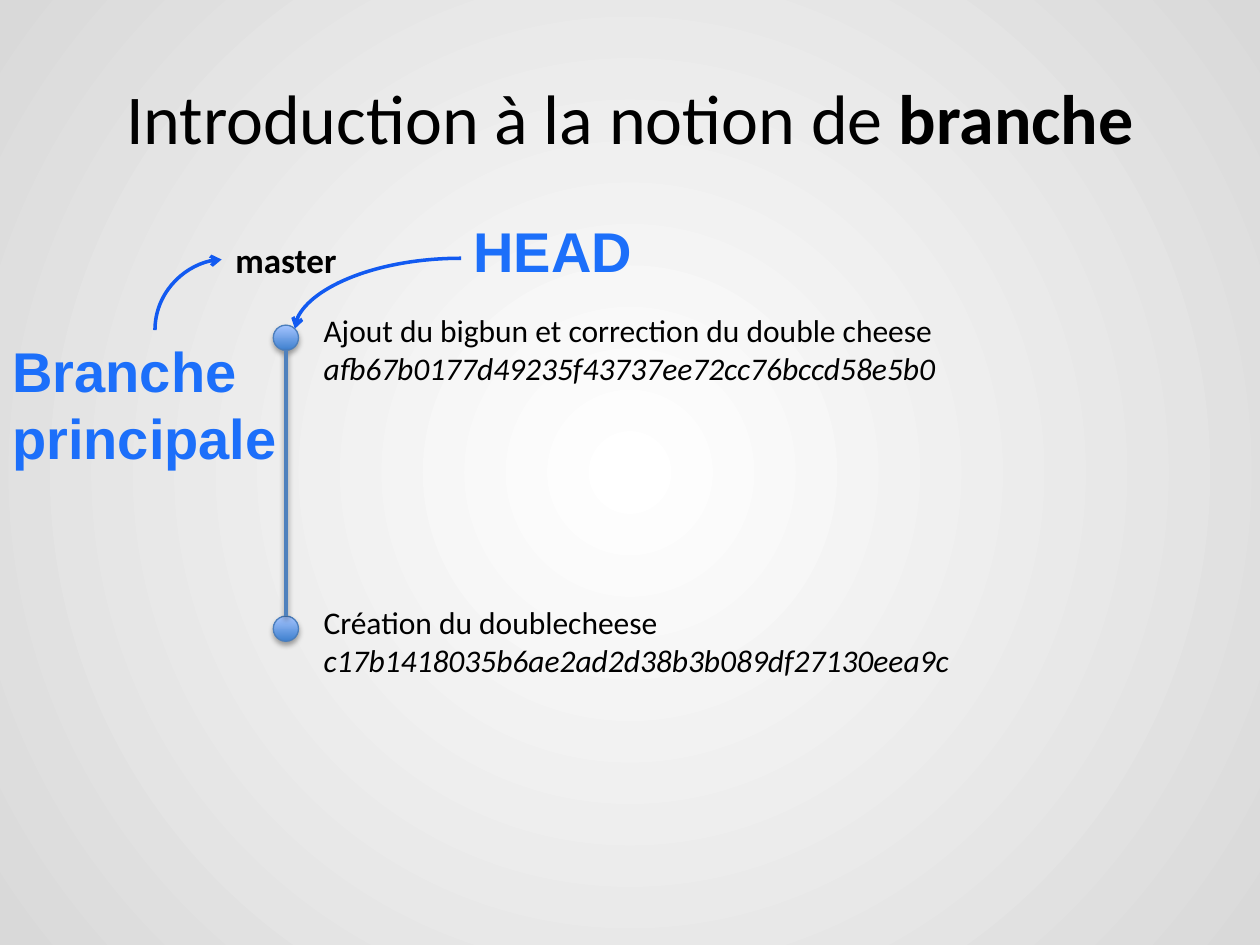
from lxml.etree import SubElement
from pptx import Presentation
from pptx.dml.color import RGBColor
from pptx.enum.shapes import MSO_CONNECTOR, MSO_SHAPE
from pptx.enum.text import MSO_ANCHOR, MSO_AUTO_SIZE, PP_ALIGN
from pptx.oxml.ns import qn
from pptx.util import Pt

BLACK = RGBColor(0x00, 0x00, 0x00)
WHITE = RGBColor(0xFF, 0xFF, 0xFF)
GREY = RGBColor(0xD9, 0xD9, 0xD9)
LABEL_BLUE = RGBColor(0x1C, 0x6F, 0xFA)
ARROW_BLUE = RGBColor(0x12, 0x5A, 0xF1)
BRANCH_BLUE = RGBColor(0x4F, 0x81, 0xBD)
COMMIT_EDGE = RGBColor(0x4B, 0x7E, 0xBC)
COMMIT_DARK = RGBColor(0x3F, 0x80, 0xCE)
COMMIT_LIGHT = RGBColor(0xA4, 0xC4, 0xFF)

prs = Presentation()
prs.slide_width, prs.slide_height = Pt(720), Pt(540)
slide = prs.slides.add_slide(prs.slide_layouts[6])


def add_text(paragraphs, left, top, width, height, size=18, font="Calibri",
             color=BLACK, wrap=False, grow=True, align=PP_ALIGN.LEFT,
             anchor=MSO_ANCHOR.TOP):
    """Each paragraph is a list of (text, style), style being "", "b" or "i"."""
    box = slide.shapes.add_textbox(Pt(left), Pt(top), Pt(width), Pt(height))
    frame = box.text_frame
    frame.word_wrap = wrap
    frame.auto_size = MSO_AUTO_SIZE.SHAPE_TO_FIT_TEXT if grow else MSO_AUTO_SIZE.NONE
    frame.vertical_anchor = anchor
    for i, runs in enumerate(paragraphs):
        paragraph = frame.paragraphs[0] if i == 0 else frame.add_paragraph()
        paragraph.alignment = align
        for text, style in runs:
            run = paragraph.add_run()
            run.text = text
            run.font.name, run.font.size = font, Pt(size)
            run.font.color.rgb = color
            run.font.bold, run.font.italic = style == "b", style == "i"


def add_effects(shape, opacity=None, distance=0):
    """Soft downward shadow, or no shadow when opacity is not given."""
    effects = SubElement(shape._element.spPr, qn("a:effectLst"))
    if opacity:
        shadow = SubElement(effects, qn("a:outerShdw"), blurRad=str(Pt(3.1)),
                            dist=str(Pt(distance)), dir="5400000", rotWithShape="0")
        black = SubElement(shadow, qn("a:srgbClr"), val="000000")
        SubElement(black, qn("a:alpha"), val=str(opacity * 1000))


# Background: white centre fading to grey
backdrop = slide.background.fill
backdrop.gradient()
for stop, color in zip(backdrop.gradient_stops, (WHITE, GREY)):
    stop.color.rgb = color
gradient = slide.element.find(".//" + qn("a:gradFill"))
gradient.remove(gradient.find(qn("a:lin")))
circle = SubElement(gradient, qn("a:path"), {"path": "circle"})
SubElement(circle, qn("a:fillToRect"), l="50000", t="50000", r="50000", b="50000")

# Title
add_text([[("Introduction à la notion de ", ""), ("branche", "b")]],
         36, 21.6, 648, 90, size=40, wrap=True, grow=False,
         align=PP_ALIGN.CENTER, anchor=MSO_ANCHOR.MIDDLE)

# Branch name
add_text([[("master", "b")]], 126.7, 132.5, 73.4, 31.5, size=20,
         align=PP_ALIGN.CENTER)

# Commits: dot, message and hash
DOT = 14.4
DOT_LEFT = 156.2
commits = [
    (185.8, 174.2, 373, "Ajout du bigbun et correction du double cheese",
     "afb67b0177d49235f43737ee72cc76bccd58e5b0"),
    (352.1, 341.3, 380.2, "Création du doublecheese",
     "c17b1418035b6ae2ad2d38b3b089df27130eea9c"),
]
for dot_top, text_top, text_width, message, commit_hash in commits:
    dot = slide.shapes.add_shape(MSO_SHAPE.OVAL, Pt(DOT_LEFT), Pt(dot_top),
                                 Pt(DOT), Pt(DOT))
    dot.fill.gradient()
    dot.fill.gradient_angle = 90
    for stop, color in zip(dot.fill.gradient_stops, (COMMIT_DARK, COMMIT_LIGHT)):
        stop.color.rgb = color
    dot.line.color.rgb, dot.line.width = COMMIT_EDGE, Pt(0.75)
    add_effects(dot, opacity=35, distance=1.8)
    add_text([[(message, "")], [(commit_hash, "i")]],
             177.8, text_top, text_width, 51)

# Branch line between the two dots
axis = DOT_LEFT + DOT / 2
branch = slide.shapes.add_connector(MSO_CONNECTOR.STRAIGHT, Pt(axis),
                                    Pt(commits[0][0] + DOT), Pt(axis),
                                    Pt(commits[1][0]))
branch.line.color.rgb, branch.line.width = BRANCH_BLUE, Pt(2)
add_effects(branch, opacity=38, distance=1.6)

# Blue labels
for label, left, top, width, height in [
    ("Branche principale", 0, 188.6, 177.8, 46),
    ("HEAD", 263.5, 120.2, 128.2, 85),
]:
    add_text([[(label, "b")]], left, top, width, height, size=32, font="Arial",
             color=LABEL_BLUE, wrap=True)

# Curved arrows: each leaves its right end level and drops at its left end
for right, top, left, bottom, arrow_end in [
    (126.7, 148.3, 88.6, 188.6, "a:headEnd"),
    (263.5, 147.6, 168.5, 187.9, "a:tailEnd"),
]:
    arrow = slide.shapes.add_connector(MSO_CONNECTOR.CURVE, Pt(right), Pt(top),
                                       Pt(left), Pt(bottom))
    arrow._element.spPr.find(qn("a:prstGeom")).set("prst", "curvedConnector2")
    arrow.line.color.rgb, arrow.line.width = ARROW_BLUE, Pt(2)
    SubElement(arrow.line._get_or_add_ln(), qn(arrow_end), type="arrow")
    add_effects(arrow)

prs.save("out.pptx")
